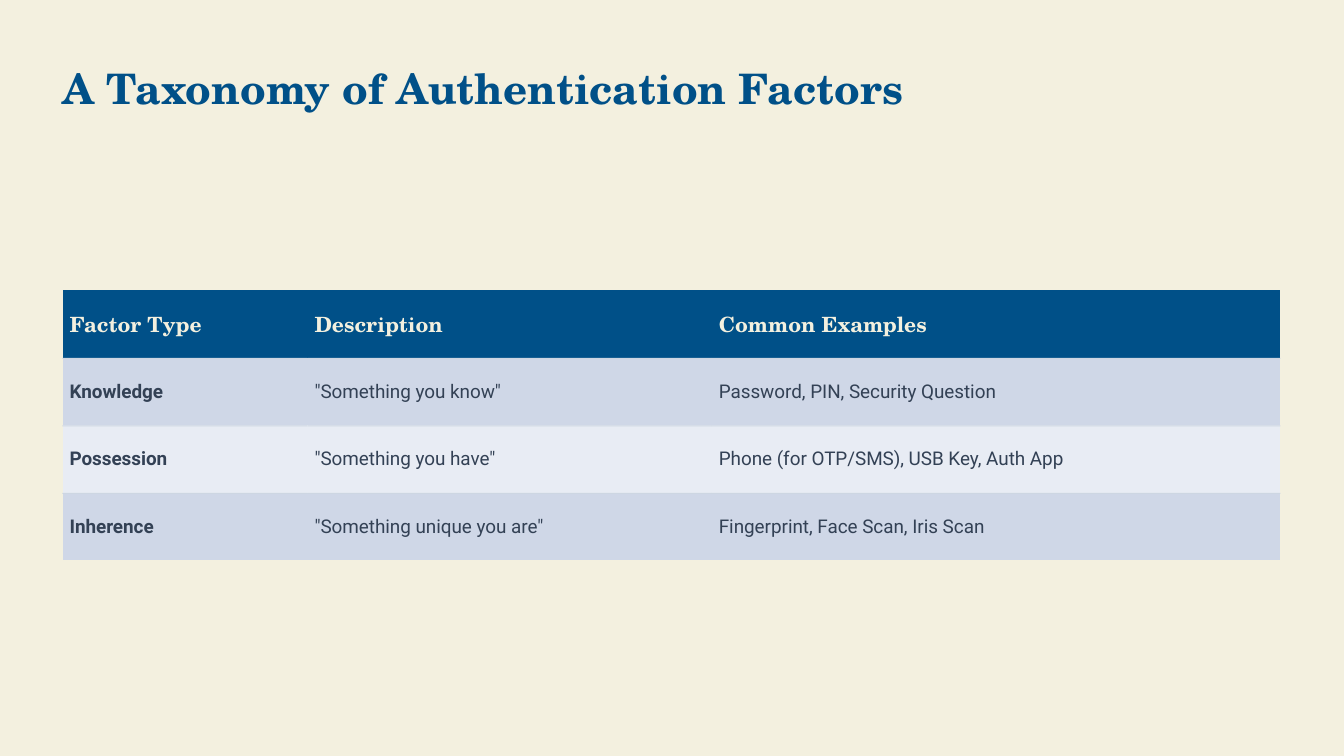
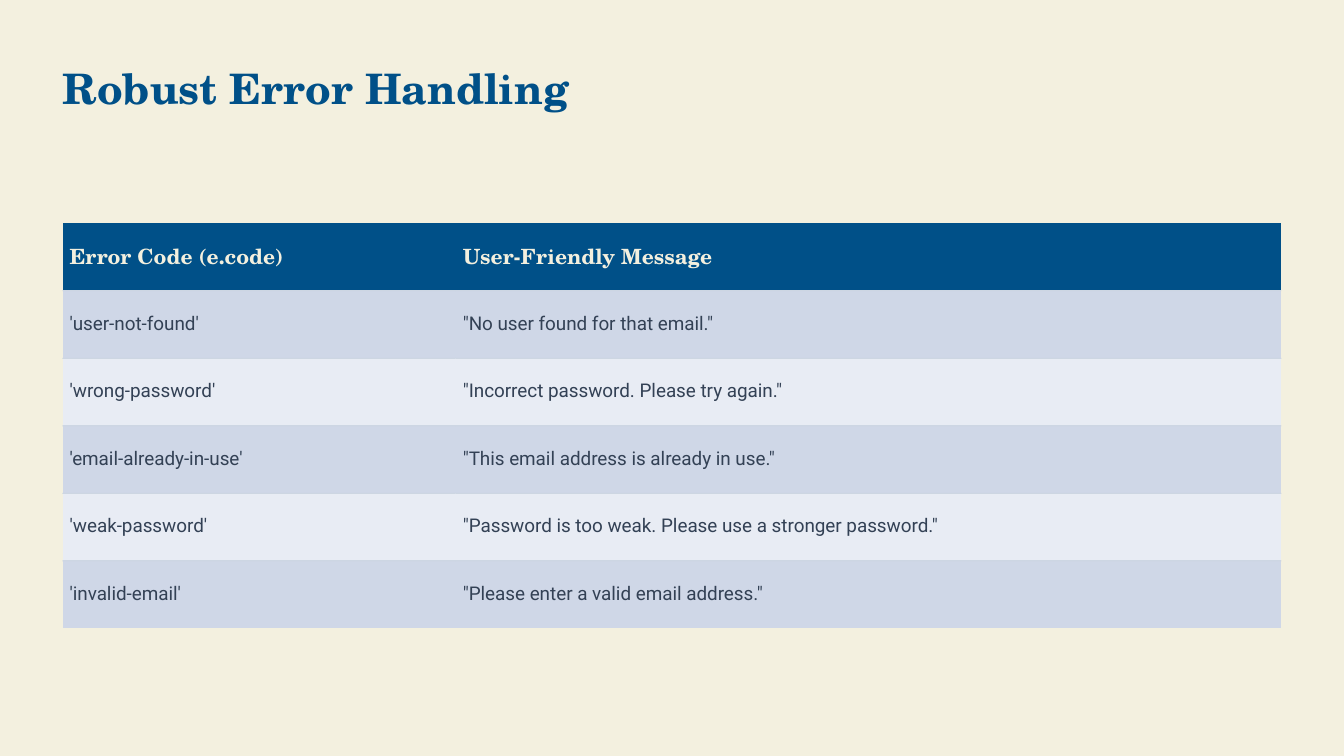
import pptx
import pptx.dml.color
import pptx.enum.shapes
import pptx.enum.text
import pptx.util

Inches = pptx.util.Inches
Pt = pptx.util.Pt
RGBColor = pptx.dml.color.RGBColor

# Shared colours, fonts and measures
CREAM = RGBColor(0xF3, 0xF0, 0xDF)
BLUE = RGBColor(0x00, 0x50, 0x88)
SLATE = RGBColor(0x33, 0x41, 0x55)
BAND_DARK = RGBColor(0xCF, 0xD7, 0xE7)
BAND_LIGHT = RGBColor(0xE8, 0xEC, 0xF4)
RULE = RGBColor(0xCD, 0xD6, 0xE2)
SERIF, SANS = "TeX Gyre Schola", "Roboto"
MARGIN = 0.62
ROW_HEIGHT = 0.67
RULE_HEIGHT = 0.01
PLAIN_TABLE_STYLE = "{2D5ABB26-0587-4C30-8999-92F81FD0307C}"

TITLE_FONT = {"name": SERIF, "size": Pt(30), "bold": True, "color": BLUE}
HEADER_FONT = {"name": SERIF, "size": Pt(15), "bold": True, "color": CREAM}
BODY_FONT = {"name": SANS, "size": Pt(13.5), "bold": False, "color": SLATE}
LABEL_FONT = {**BODY_FONT, "bold": True}

TITLE_FRAME = {
    "margin_left": 0, "margin_top": 0, "margin_right": 0, "margin_bottom": 0,
    "word_wrap": True,
    "vertical_anchor": pptx.enum.text.MSO_ANCHOR.TOP,
    "auto_size": pptx.enum.text.MSO_AUTO_SIZE.SHAPE_TO_FIT_TEXT,
}
CELL_FRAME = {
    "margin_left": Inches(0.07), "margin_right": Inches(0.07),
    "margin_top": Inches(0.03), "margin_bottom": Inches(0.03),
    "vertical_anchor": pptx.enum.text.MSO_ANCHOR.MIDDLE,
}

SLIDES = [
    {
        "title": "A Taxonomy of Authentication Factors",
        "top": 2.88,
        "widths": [2.43, 4.01, 5.64],
        "label_font": LABEL_FONT,
        "rows": [
            ["Factor Type", "Description", "Common Examples"],
            ["Knowledge", '"Something you know"', "Password, PIN, Security Question"],
            ["Possession", '"Something you have"', "Phone (for OTP/SMS), USB Key, Auth App"],
            ["Inherence", '"Something unique you are"', "Fingerprint, Face Scan, Iris Scan"],
        ],
    },
    {
        "title": "Robust Error Handling",
        "top": 2.21,
        "widths": [3.9, 8.19],
        "label_font": BODY_FONT,
        "rows": [
            ["Error Code (e.code)", "User-Friendly Message"],
            ["'user-not-found'", '"No user found for that email."'],
            ["'wrong-password'", '"Incorrect password. Please try again."'],
            ["'email-already-in-use'", '"This email address is already in use."'],
            ["'weak-password'", '"Password is too weak. Please use a stronger password."'],
            ["'invalid-email'", '"Please enter a valid email address."'],
        ],
    },
]


def apply(target, values):
    for name, value in values.items():
        setattr(target, name, value)


def write(paragraph, text, font):
    span = paragraph.add_run()
    span.text = text
    for name, value in font.items():
        if name == "color":
            span.font.color.rgb = value
        else:
            setattr(span.font, name, value)


def add_title(page, text, left, top, width, height):
    box = page.shapes.title
    apply(box, {"left": Inches(left), "top": Inches(top),
                "width": Inches(width), "height": Inches(height)})
    apply(box.text_frame, TITLE_FRAME)
    para = box.text_frame.paragraphs[0]
    para.alignment = pptx.enum.text.PP_ALIGN.LEFT
    write(para, text, TITLE_FONT)


def row_fill(row):
    if row == 0:
        return BLUE
    return BAND_DARK if row % 2 else BAND_LIGHT


def add_banded_table(page, rows, widths, left, top, label_font):
    frame = page.shapes.add_table(
        len(rows), len(widths), Inches(left), Inches(top),
        Inches(sum(widths)), Inches(ROW_HEIGHT * len(rows)))
    table = frame.table
    # Plain style: no grid lines
    table._tbl.tblPr.find(pptx.oxml.ns.qn("a:tableStyleId")).text = PLAIN_TABLE_STYLE
    for column, width in zip(table.columns, widths):
        column.width = Inches(width)
    for row, texts in enumerate(rows):
        table.rows[row].height = Inches(ROW_HEIGHT)
        for col, text in enumerate(texts):
            cell = table.cell(row, col)
            apply(cell, CELL_FRAME)
            cell.fill.solid()
            cell.fill.fore_color.rgb = row_fill(row)
            body_font = BODY_FONT if col else label_font
            write(cell.text_frame.paragraphs[0], text, body_font if row else HEADER_FONT)


def add_row_rules(page, row_count, widths, left, top):
    for row in range(1, row_count):
        for col, width in enumerate(widths):
            rule = page.shapes.add_shape(
                pptx.enum.shapes.MSO_SHAPE.RECTANGLE,
                Inches(left + sum(widths[:col])), Inches(top + row * ROW_HEIGHT),
                Inches(width), Inches(RULE_HEIGHT))
            rule.shadow.inherit = False
            rule.fill.solid()
            rule.fill.fore_color.rgb = RULE
            rule.line.fill.background()


def add_table_slide(deck, content):
    page = deck.slides.add_slide(deck.slide_layouts.get_by_name("Title Only"))
    rows, widths, top = content["rows"], content["widths"], content["top"]
    add_title(page, content["title"], MARGIN, MARGIN, 12.69, 0.52)
    add_banded_table(page, rows, widths, MARGIN, top, content["label_font"])
    add_row_rules(page, len(rows), widths, MARGIN, top)


def main():
    deck = pptx.Presentation()
    deck.slide_width, deck.slide_height = Inches(13.33), Inches(7.5)
    # Shared background
    background = deck.slide_master.background.fill
    background.solid()
    background.fore_color.rgb = CREAM
    for content in SLIDES:
        add_table_slide(deck, content)
    deck.save("out.pptx")


if __name__ == "__main__":
    main()
